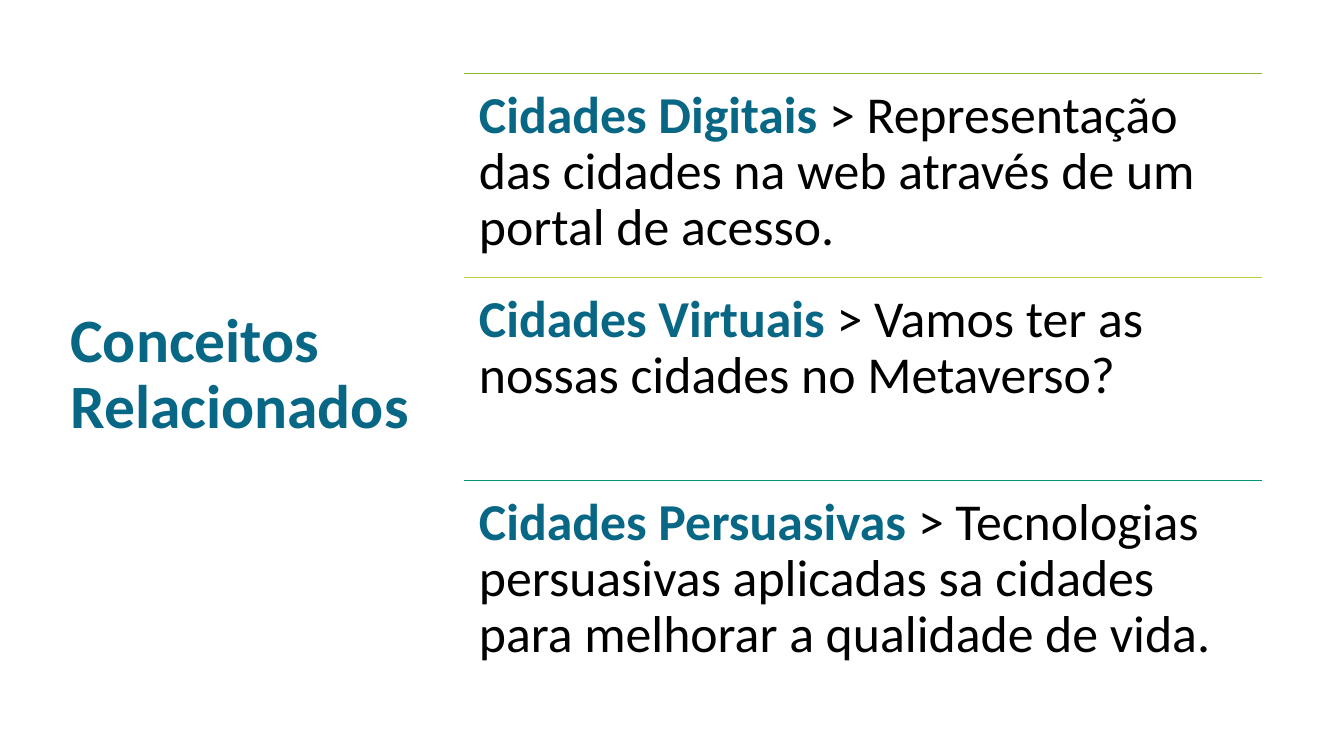
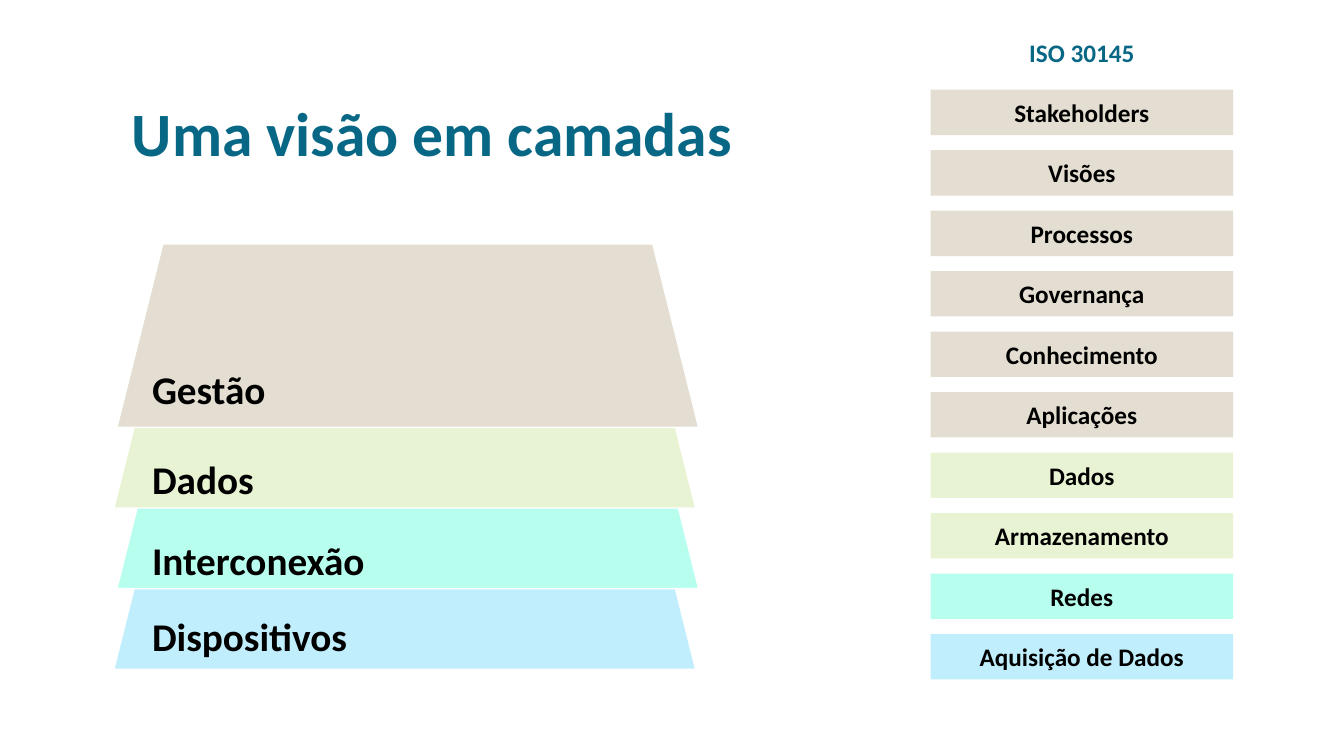
"""Build two slides on city concepts and the layers of a smart city."""
from dataclasses import dataclass

import pptx
import pptx.dml.color
import pptx.enum.shapes
import pptx.enum.text
import pptx.util
from lxml import etree

Inches = pptx.util.Inches
Align = pptx.enum.text.PP_ALIGN
Anchor = pptx.enum.text.MSO_ANCHOR
Preset = pptx.enum.shapes.MSO_SHAPE


@dataclass(frozen=True)
class Theme:
    """Hold the colours, font and type sizes shared by the slides."""
    font: str = "Calibri"
    accent: str = "076785"
    text: str = "000000"
    white: str = "FFFFFF"
    management: str = "E3DED1"
    data: str = "E8F3D4"
    network: str = "B8FEEF"
    devices: str = "C1EEFC"
    title_size: int = 44
    concept_size: int = 37
    layer_size: int = 28
    bar_size: int = 18
    line_width: int = 1
    line_spacing: float = 0.9


THEME = Theme()

CONCEPTS = [
    ("Cidades Digitais ", "> Representação das cidades na web através de um portal de acesso.", "8AB833"),
    ("Cidades Virtuais ", "> Vamos ter as nossas cidades no Metaverso?", "C0CF3A"),
    ("Cidades Persuasivas ", "> Tecnologias persuasivas aplicadas sa cidades "
     "para melhorar a qualidade de vida.", "029676"),
]

LAYERS = [
    ("Gestão", THEME.management, 1.16, 3.58),
    ("Dados", THEME.data, 1.13, 4.47),
    ("Interconexão", THEME.network, 1.16, 5.27),
    ("Dispositivos", THEME.devices, 1.13, 6.03),
]

ISO_GROUPS = [
    (THEME.management, ["Stakeholders", "Visões", "Processos", "Governança", "Conhecimento", "Aplicações"]),
    (THEME.data, ["Dados", "Armazenamento"]),
    (THEME.network, ["Redes"]),
    (THEME.devices, ["Aquisição de Dados"]),
]


def color(value):
    """Return a colour from its hexadecimal value."""
    return pptx.dml.color.RGBColor.from_string(value)


def format_font(font, size, value, bold=True):
    """Apply the theme font with a size, colour and weight."""
    font.name = THEME.font
    font.size = pptx.util.Pt(size)
    font.bold = bold
    font.color.rgb = color(value)


def write_text(shape, text, size, value, align=Align.LEFT, anchor=Anchor.TOP):
    """Write one bold paragraph in a shape and return the paragraph."""
    frame = shape.text_frame
    frame.word_wrap = True
    frame.vertical_anchor = anchor
    frame.text = text
    paragraph = frame.paragraphs[0]
    paragraph.alignment = align
    format_font(paragraph.runs[0].font, size, value)
    return paragraph


def add_text(slide, box, text, size, value, **layout):
    """Add a text box and return its shape and paragraph."""
    shape = slide.shapes.add_textbox(*map(Inches, box))
    return shape, write_text(shape, text, size, value, **layout)


def add_title(slide, box, text):
    """Add a slide title."""
    _, paragraph = add_text(slide, box, text, THEME.title_size, THEME.accent, anchor=Anchor.MIDDLE)
    paragraph.line_spacing = THEME.line_spacing


def add_block(slide, preset, box, fill, outline=None):
    """Add a filled preset shape with an optional outline."""
    shape = slide.shapes.add_shape(preset, *map(Inches, box))
    shape.shadow.inherit = False
    shape.fill.solid()
    shape.fill.fore_color.rgb = color(fill)
    if outline:
        shape.line.color.rgb = color(outline)
        shape.line.width = pptx.util.Pt(THEME.line_width)
    else:
        shape.line.fill.background()
    return shape


def add_rule(slide, left, top, width, value):
    """Add a horizontal line without a shadow."""
    rule = slide.shapes.add_connector(
        pptx.enum.shapes.MSO_CONNECTOR.STRAIGHT,
        Inches(left), Inches(top), Inches(left + width), Inches(top))
    rule.line.color.rgb = color(value)
    rule.line.width = pptx.util.Pt(THEME.line_width)
    properties = rule.element.spPr
    etree.SubElement(properties, pptx.oxml.ns.qn("a:effectLst"))


def add_concept(slide, box, name, description, rule_color):
    """Add a ruled row with a concept and its description."""
    left, top, width, _ = box
    add_rule(slide, left, top, width, rule_color)
    shape, paragraph = add_text(slide, box, name, THEME.concept_size, THEME.accent)
    frame = shape.text_frame
    frame.margin_left = frame.margin_right = Inches(0.15)
    frame.margin_top = frame.margin_bottom = Inches(0.15)
    paragraph.line_spacing = THEME.line_spacing
    run = paragraph.add_run()
    run.text = description
    format_font(run.font, THEME.concept_size, THEME.text, bold=False)


def build_concepts(slide):
    """Build the slide of related concepts."""
    add_title(slide, (0.6, 2.74, 3.74, 1.97), "Conceitos Relacionados")
    row_height = 2.02
    for index, concept in enumerate(CONCEPTS):
        add_concept(slide, (4.6, 0.73 + index * row_height, 7.92, row_height), *concept)


def add_layers(slide):
    """Stack the overlapping layers from the bottom up."""
    for index, (name, fill, left, label_top) in reversed(list(enumerate(LAYERS))):
        top = 2.42 + index * 0.8
        add_block(slide, Preset.TRAPEZOID, (left, top, 5.77, 1.82), fill, THEME.white)
        add_text(slide, (1.41, label_top, 3.27, 0.57), name, THEME.layer_size, THEME.text)


def add_iso_column(slide):
    """Add the heading and the evenly spaced bars of the standard."""
    left, width = 9.23, 3
    add_text(slide, (left, 0.32, width, 0.4), "ISO 30145", THEME.bar_size, THEME.accent, align=Align.CENTER)
    bars = [(name, fill) for fill, names in ISO_GROUPS for name in names]
    for index, (name, fill) in enumerate(bars):
        bar = add_block(slide, Preset.RECTANGLE, (left, 0.89 + index * 0.6, width, 0.45), fill)
        write_text(bar, name, THEME.bar_size, THEME.text, Align.CENTER, Anchor.MIDDLE)


def build_layers(slide):
    """Build the slide of the layered view."""
    add_title(slide, (1.21, 0.9, 6.48, 0.9), "Uma visão em camadas")
    add_layers(slide)
    add_iso_column(slide)


def main():
    """Create and save the presentation."""
    presentation = pptx.Presentation()
    presentation.slide_width = Inches(13.33)
    presentation.slide_height = Inches(7.5)
    for build in (build_concepts, build_layers):
        build(presentation.slides.add_slide(presentation.slide_layouts[6]))
    presentation.save("out.pptx")


if __name__ == "__main__":
    main()
